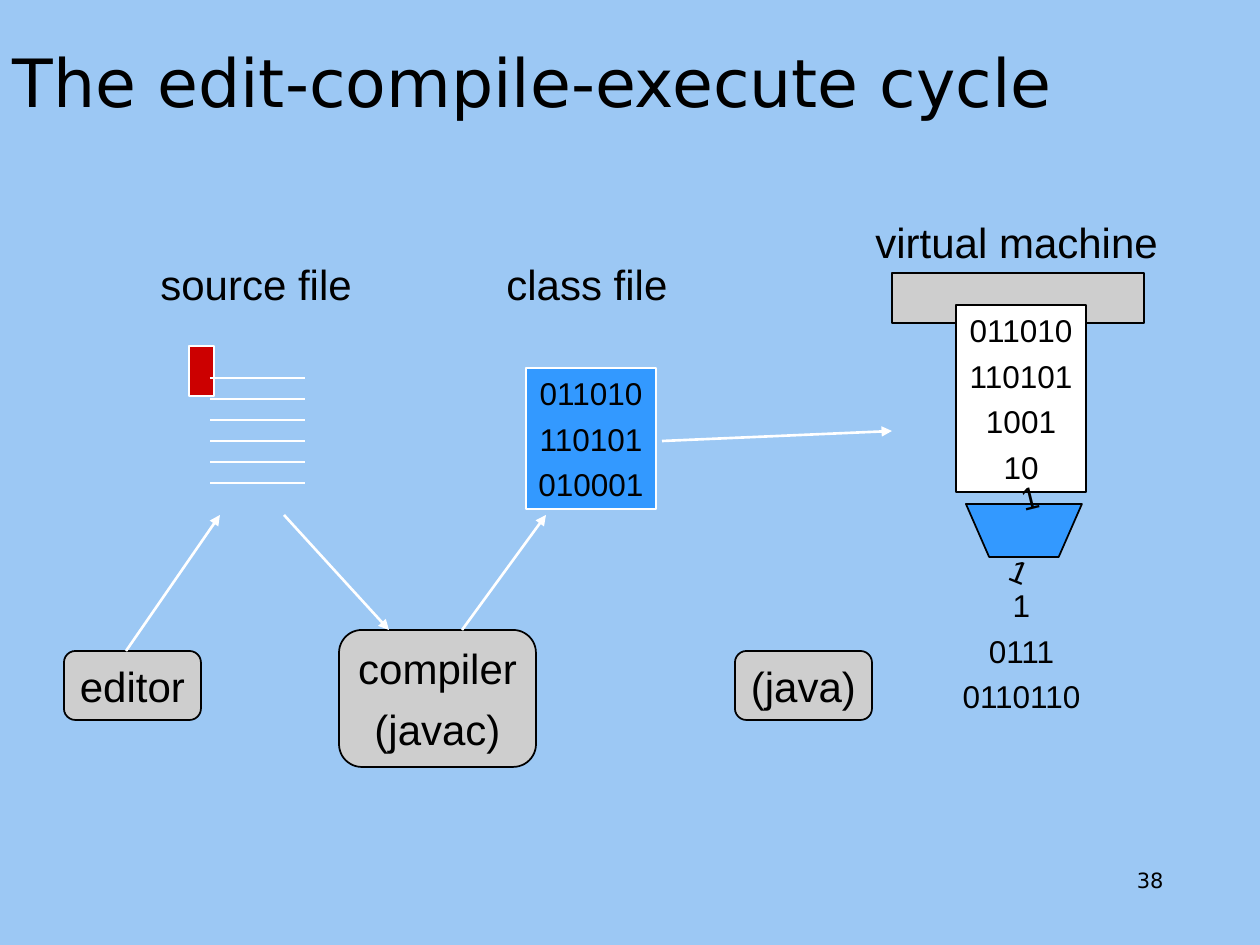
from dataclasses import dataclass

from lxml.etree import SubElement
from pptx import Presentation
from pptx.dml.color import RGBColor
from pptx.enum.shapes import MSO_CONNECTOR, MSO_SHAPE
from pptx.enum.text import MSO_ANCHOR, PP_ALIGN
from pptx.oxml.ns import qn
from pptx.util import Pt

PX = 914400 / 126


@dataclass(frozen=True)
class Theme:
    background: str = "9CC8F4"
    ink: str = "000000"
    white: str = "FFFFFF"
    gray: str = "CECECE"
    blue: str = "3399FF"
    red: str = "CC0000"
    body_font: str = "Arial"
    title_font: str = "DejaVu Sans"
    title_size: int = 38
    label_size: int = 24
    code_size: int = 18
    number_size: int = 12
    thin: float = 1
    arrow: float = 1.5


THEME = Theme()

TITLE = ("The edit-compile-execute cycle", (0, 35, 1260, 92))
SLIDE_NUMBER = ("38", (903, 861, 273, 66))

# text, box
LABELS = [
    ("source file", (148, 252, 222, 63)),
    ("class file", (494, 252, 192, 63)),
    ("virtual machine", (863, 210, 314, 63)),
]

# preset, box, fill, line, text, text size
RECT, TOOL = MSO_SHAPE.RECTANGLE, MSO_SHAPE.FLOWCHART_ALTERNATE_PROCESS
BLOCKS = [
    (RECT, (892, 273, 252, 50), THEME.gray, THEME.ink, "", THEME.code_size),
    (RECT, (526, 368, 130, 141), THEME.blue, THEME.white,
     "011010\n110101\n010001", THEME.code_size),
    (RECT, (956, 305, 130, 187), THEME.white, THEME.ink,
     "011010\n110101\n1001\n10", THEME.code_size),
    (MSO_SHAPE.FLOWCHART_MANUAL_OPERATION, (966, 504, 116, 53), THEME.blue,
     THEME.ink, "", THEME.code_size),
    (TOOL, (64, 651, 137, 69), THEME.gray, THEME.ink, "editor", THEME.label_size),
    (TOOL, (339, 630, 197, 137), THEME.gray, THEME.ink,
     "compiler\n(javac)", THEME.label_size),
    (TOOL, (735, 651, 137, 69), THEME.gray, THEME.ink, "(java)", THEME.label_size),
]

# text, box, rotation
LOOSE_BITS = [
    ("1\n0111\n0110110", (948, 580, 147, 141), 0),
    ("1", (998, 546, 43, 50), 22.1),
    ("1", (1008, 472, 43, 50), 346.1),
]

SOURCE_MARK = (189, 346, 25, 50)
SOURCE_LINES = {"left": 210, "right": 305, "top": 378, "step": 21, "count": 6}

ARROWS = [
    ((126, 651), (220, 515)),
    ((284, 515), (389, 630)),
    ((462, 630), (546, 515)),
    ((662, 441), (892, 431)),
]


def px(*lengths):
    return [round(length * PX) for length in lengths]


def color(code):
    return RGBColor.from_string(code)


def format_font(paragraph, name, size):
    for run in paragraph.runs:
        run.font.name = name
        run.font.size = Pt(size)
        run.font.color.rgb = color(THEME.ink)


def write_text(shape, text, size, align=PP_ALIGN.CENTER, anchor=MSO_ANCHOR.MIDDLE):
    """Fill a shape with unwrapped body text, spaced in proportion to its size."""
    frame = shape.text_frame
    frame.text = text
    frame.word_wrap = False
    frame.vertical_anchor = anchor
    for paragraph in frame.paragraphs:
        paragraph.alignment = align
        paragraph.line_spacing = Pt(size * 1.2)
        paragraph.space_before = Pt(size / 4)
        format_font(paragraph, THEME.body_font, size)


def add_block(shapes, preset, box, fill, line):
    shape = shapes.add_shape(preset, *px(*box))
    shape.shadow.inherit = False
    shape.fill.solid()
    shape.fill.fore_color.rgb = color(fill)
    shape.line.color.rgb = color(line)
    shape.line.width = Pt(THEME.thin)
    return shape


def add_line(shapes, start, end, width, arrow=False):
    line = shapes.add_connector(MSO_CONNECTOR.STRAIGHT, *px(*start, *end))
    line.line.color.rgb = color(THEME.white)
    line.line.width = Pt(width)
    if arrow:
        SubElement(line.line._get_or_add_ln(), qn("a:tailEnd"), type="triangle")
    SubElement(line._element.spPr, qn("a:effectLst"))


def add_title(slide):
    text, box = TITLE
    title = slide.shapes.title
    title.left, title.top, title.width, title.height = px(*box)
    frame = title.text_frame
    frame.text = text
    frame.vertical_anchor = MSO_ANCHOR.BOTTOM
    frame.paragraphs[0].alignment = PP_ALIGN.LEFT
    format_font(frame.paragraphs[0], THEME.title_font, THEME.title_size)


def add_slide_number(slide):
    text, box = SLIDE_NUMBER
    frame = slide.shapes.add_textbox(*px(*box)).text_frame
    frame.text = text
    frame.word_wrap = True
    frame.paragraphs[0].alignment = PP_ALIGN.RIGHT
    format_font(frame.paragraphs[0], THEME.title_font, THEME.number_size)


def add_source_file(slide):
    shapes = slide.shapes.add_group_shape().shapes
    add_block(shapes, RECT, SOURCE_MARK, THEME.red, THEME.white)
    for index in range(SOURCE_LINES["count"]):
        y = SOURCE_LINES["top"] + index * SOURCE_LINES["step"]
        add_line(shapes, (SOURCE_LINES["left"], y), (SOURCE_LINES["right"], y), THEME.thin)


def main():
    presentation = Presentation()
    presentation.slide_width, presentation.slide_height = px(1260, 945)
    slide = presentation.slides.add_slide(presentation.slide_layouts[5])
    slide.background.fill.solid()
    slide.background.fill.fore_color.rgb = color(THEME.background)

    add_title(slide)
    add_slide_number(slide)
    add_source_file(slide)
    for preset, box, fill, line, text, size in BLOCKS:
        block = add_block(slide.shapes, preset, box, fill, line)
        if text:
            write_text(block, text, size)
    for text, box in LABELS:
        label = slide.shapes.add_textbox(*px(*box))
        write_text(label, text, THEME.label_size, PP_ALIGN.LEFT, MSO_ANCHOR.TOP)
    for text, box, rotation in LOOSE_BITS:
        bits = slide.shapes.add_textbox(*px(*box))
        bits.rotation = rotation
        write_text(bits, text, THEME.code_size)
    for start, end in ARROWS:
        add_line(slide.shapes, start, end, THEME.arrow, arrow=True)

    presentation.save("out.pptx")


if __name__ == "__main__":
    main()
